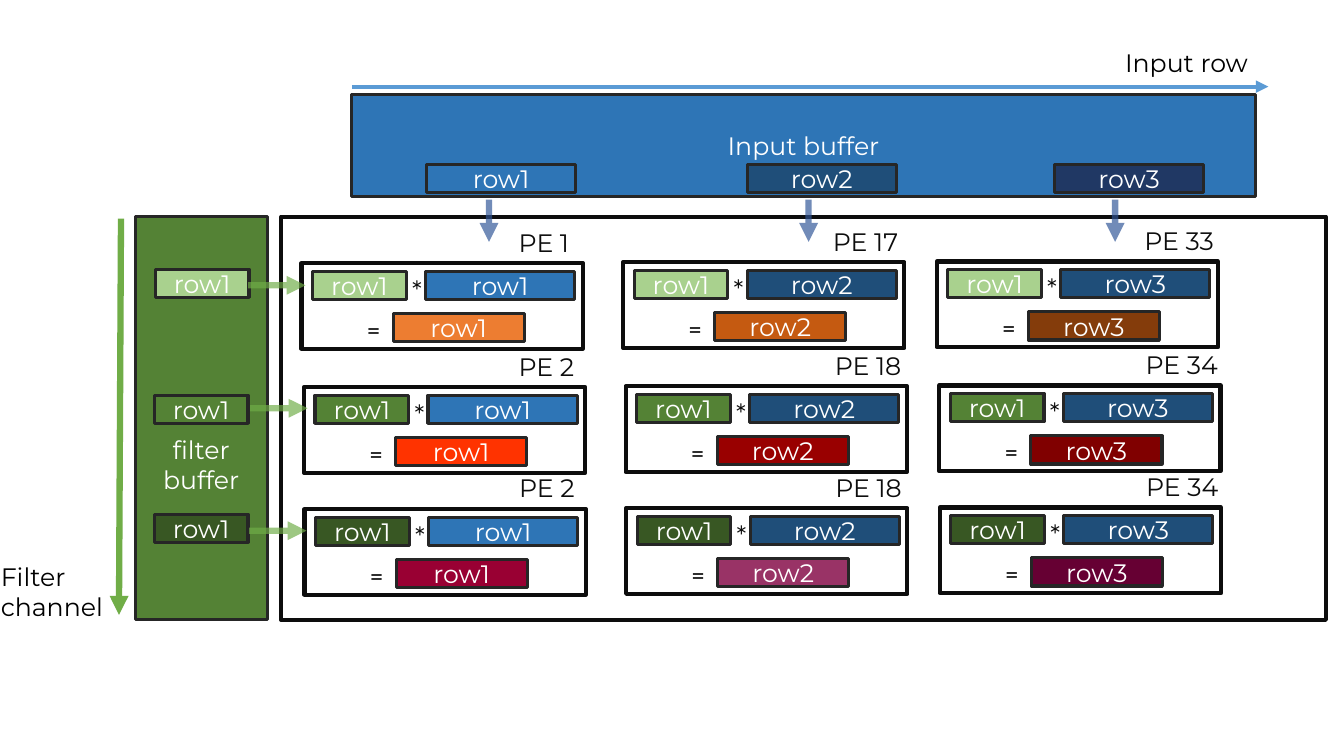
from dataclasses import dataclass
from typing import NamedTuple, Optional

from lxml.etree import SubElement
from pptx import Presentation
from pptx.dml.color import RGBColor
from pptx.enum.shapes import MSO_CONNECTOR, MSO_SHAPE
from pptx.enum.text import MSO_ANCHOR, PP_ALIGN
from pptx.oxml.ns import qn
from pptx.shapes.autoshape import Shape
from pptx.util import Inches, Length, Pt

# Colours
WHITE = RGBColor(0xFF, 0xFF, 0xFF)
BLACK = RGBColor(0x00, 0x00, 0x00)
INK = RGBColor(0x0D, 0x0D, 0x0D)
EDGE = RGBColor(0x26, 0x26, 0x26)
BLUE = RGBColor(0x2E, 0x75, 0xB6)
NAVY = RGBColor(0x1F, 0x4E, 0x79)
DEEP = RGBColor(0x20, 0x38, 0x64)
SKY = RGBColor(0x5B, 0x9B, 0xD5)
FLOW = RGBColor(0x2F, 0x55, 0x97)
LEAF = RGBColor(0x70, 0xAD, 0x47)
LIME = RGBColor(0xA9, 0xD1, 0x8E)
GREEN = RGBColor(0x54, 0x82, 0x35)
PINE = RGBColor(0x38, 0x57, 0x23)
ORANGE = RGBColor(0xED, 0x7D, 0x31)
RUST = RGBColor(0xC5, 0x5A, 0x11)
BROWN = RGBColor(0x84, 0x3C, 0x0B)
RED = RGBColor(0xFF, 0x33, 0x00)
BRICK = RGBColor(0x99, 0x00, 0x00)
MAROON = RGBColor(0x80, 0x00, 0x00)
WINE = RGBColor(0x99, 0x00, 0x33)
PLUM = RGBColor(0x99, 0x33, 0x66)
GRAPE = RGBColor(0x66, 0x00, 0x33)

FONT = "Montserrat"
CHIP = 2.8  # rows in a chip


def cell(count: float) -> Length:
    """Columns or rows of the grid, ten to the inch."""
    return Inches(count / 10)


class Box(NamedTuple):
    x: float
    y: float
    w: float
    h: float

    def lengths(self) -> list[Length]:
        return [cell(side) for side in self]


@dataclass(frozen=True)
class Stream:
    """A row of the input, feeding one column of PEs."""
    name: str
    slot: float
    drop: float
    left: float
    tone: RGBColor
    fill: RGBColor


@dataclass(frozen=True)
class Filter:
    """A row of the filter, feeding one row of PEs."""
    tone: RGBColor
    slot: tuple[float, float]
    start: tuple[float, float]
    top: float
    shift: float
    names: tuple[str, str, str]
    sums: tuple[RGBColor, RGBColor, RGBColor]


STREAMS = [
    Stream("row1", 42.3, 48.5, 29.9, BLUE, BLUE),
    Stream("row2", 74.1, 80.2, 61.8, NAVY, NAVY),
    Stream("row3", 104.6, 110.6, 92.9, DEEP, NAVY),
]
FILTERS = [
    Filter(LIME, (15.4, 26.7), (24.6, 28.3), 26.1, 0,
           ("PE 1", "PE 17", "PE 33"), (ORANGE, RUST, BROWN)),
    Filter(GREEN, (15.3, 39.2), (24.8, 40.5), 38.4, 0.25,
           ("PE 2", "PE 18", "PE 34"), (RED, BRICK, MAROON)),
    Filter(PINE, (15.3, 51), (24.7, 52.65), 50.5, 0.3,
           ("PE 2", "PE 18", "PE 34"), (WINE, PLUM, GRAPE)),
]


def write(shape: Shape, text: str, *, color: RGBColor = WHITE, font: str = FONT,
          align: PP_ALIGN = PP_ALIGN.CENTER, anchor: MSO_ANCHOR = MSO_ANCHOR.MIDDLE,
          wrap: bool = True, inset: float = 0.5) -> None:
    frame = shape.text_frame
    frame.word_wrap = wrap
    frame.vertical_anchor = anchor
    frame.margin_top = cell(inset)
    frame.text = text
    for para in frame.paragraphs:
        para.alignment = align
        para.font.size = Pt(18)
        para.font.name = font
        para.font.color.rgb = color


def block(tree, box: Box, fill: Optional[RGBColor] = None,
          edge: RGBColor = EDGE, weight: float = 2.25) -> Shape:
    shape = tree.add_shape(MSO_SHAPE.RECTANGLE, *box.lengths())
    shape.shadow.inherit = False
    if fill is None:
        shape.fill.background()
    else:
        shape.fill.solid()
        shape.fill.fore_color.rgb = fill
    shape.line.color.rgb = edge
    shape.line.width = Pt(weight)
    return shape


def chip(tree, box: Box, text: str, fill: RGBColor) -> None:
    write(block(tree, box, fill), text)


def label(tree, box: Box, text: str) -> None:
    write(tree.add_textbox(*box.lengths()), text, color=INK)


def note(tree, box: Box, text: str, font: str = FONT) -> None:
    write(tree.add_textbox(*box.lengths()), text, color=BLACK, font=font,
          align=PP_ALIGN.LEFT, anchor=MSO_ANCHOR.TOP, wrap=False)


def arrow(tree, start: tuple[float, float], end: tuple[float, float],
          color: RGBColor, weight: float = 4.5, alpha: int = 100) -> None:
    ends = [cell(side) for side in (*start, *end)]
    link = tree.add_connector(MSO_CONNECTOR.STRAIGHT, *ends)
    link.line.color.rgb = color
    link.line.width = Pt(weight)
    line = link.line._get_or_add_ln()
    if alpha < 100:
        tint = line.find(".//" + qn("a:srgbClr"))
        SubElement(tint, qn("a:alpha"), val=str(alpha * 1000))
    SubElement(line, qn("a:tailEnd"), type="triangle")
    SubElement(link._element.spPr, qn("a:effectLst"))


def unit(tree, x: float, y: float, name: str, row: Filter,
         feed: Stream, total: RGBColor) -> None:
    """One PE: filter row * input row = output row."""
    group = tree.add_group_shape().shapes
    chip(group, Box(x + 1.1, y + 0.8, 9.3, CHIP), "row1", row.tone)
    chip(group, Box(x + 12.3, y + 0.8, 14.8, CHIP), feed.name, feed.fill)
    block(group, Box(x, y, 27.9, 8.5), edge=INK, weight=3)
    label(group, Box(x + 18.7, y - 4.5, 10.7, 4.8), name)
    label(group, Box(x + 7.6, y + 0.2, 7.7, 4.8), "*")
    chip(group, Box(x + 9.1, y + 5, 13, CHIP), feed.name, total)
    note(group, Box(x + 5.55, y + 4.6, 3.3, 4), "=", "Calibri")


def main() -> None:
    deck = Presentation()
    deck.slide_width, deck.slide_height = Inches(13.33), Inches(7.5)
    tree = deck.slides.add_slide(deck.slide_layouts[6]).shapes

    # PE array and the two buffers
    block(tree, Box(27.9, 21.5, 103.6, 40), edge=INK, weight=3)
    write(block(tree, Box(34.9, 9.4, 89.6, 10.1), BLUE), "Input buffer")
    write(block(tree, Box(13.4, 21.5, 13.1, 40), GREEN), "filter buffer", inset=9.6)

    # Axes
    arrow(tree, (12, 21.7), (11.8, 61), LEAF)
    note(tree, Box(-0.9, 55.2, 12.9, 7.1), "Filter\nchannel")
    arrow(tree, (34.9, 8.6), (125.8, 8.6), SKY, weight=3)
    note(tree, Box(110.6, 4.2, 15.2, 4), "Input row")

    # Rows held in the buffers
    for feed in STREAMS:
        chip(tree, Box(feed.slot, 16.3, 14.8, CHIP), feed.name, feed.tone)
    for row in FILTERS:
        chip(tree, Box(*row.slot, 9.3, CHIP), "row1", row.tone)

    # Grid of PEs
    for row in FILTERS:
        for col, feed in enumerate(STREAMS):
            unit(tree, feed.left + row.shift, row.top - 0.08 * col,
                 row.names[col], row, feed, row.sums[col])

    # Flow from the buffers to the PEs
    for feed in STREAMS:
        arrow(tree, (feed.drop, 19.8), (feed.drop, 24), FLOW, alpha=67)
    for row in FILTERS:
        x, y = row.start
        arrow(tree, (x, y), (x + 5.7, y), LEAF, alpha=67)

    deck.save("out.pptx")


if __name__ == "__main__":
    main()
